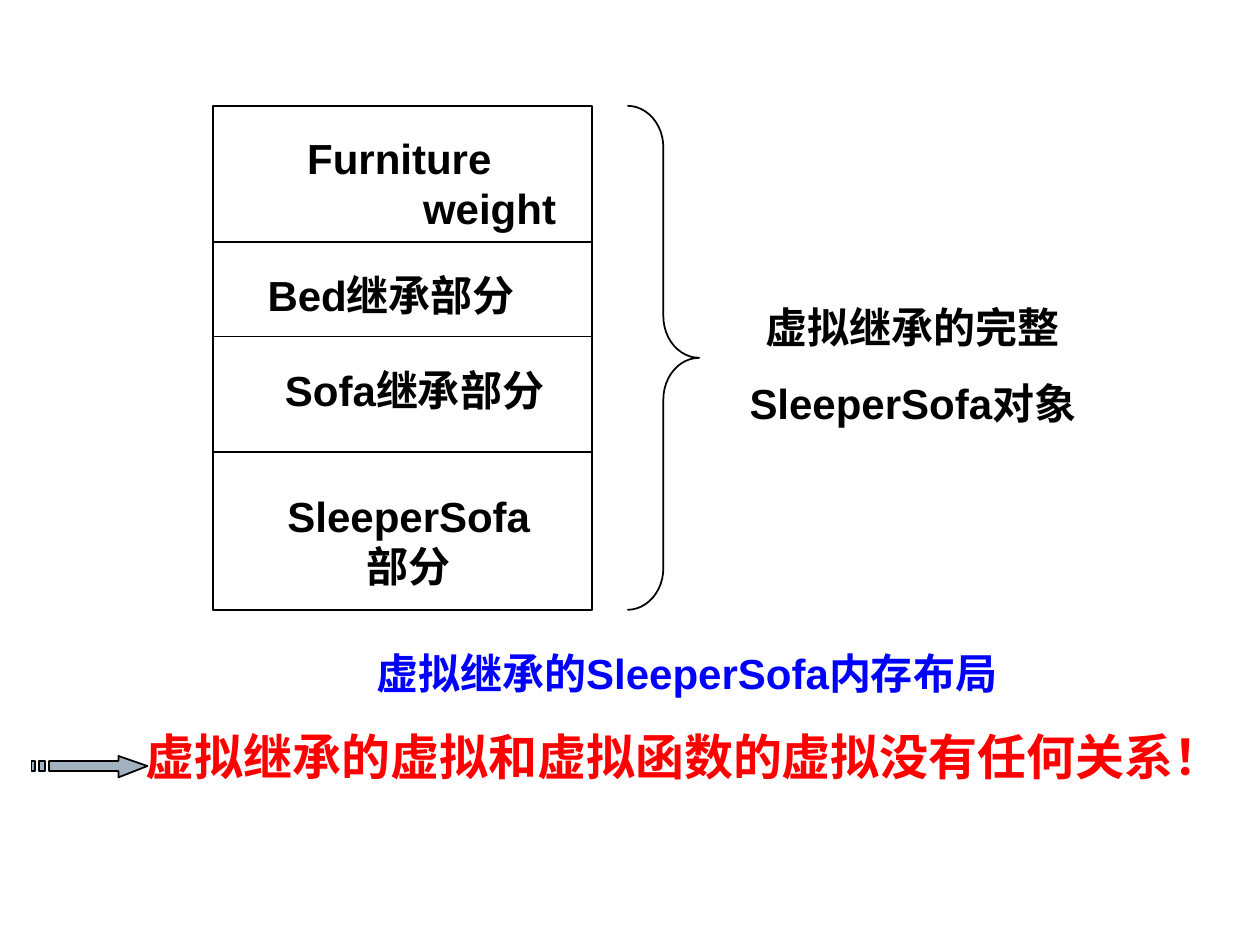
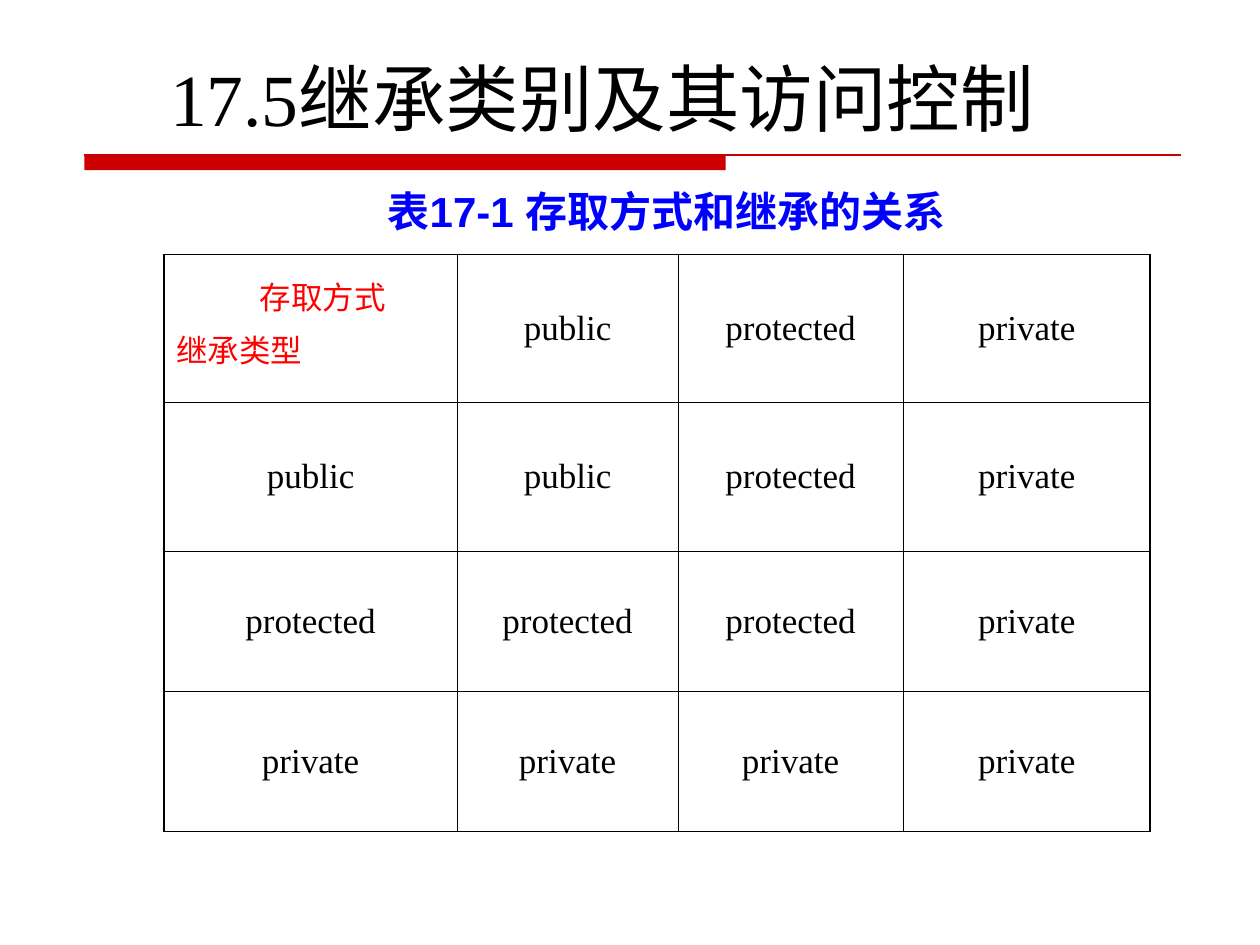
from lxml.etree import SubElement
from pptx import Presentation
from pptx.dml.color import RGBColor
from pptx.enum.shapes import MSO_CONNECTOR, MSO_SHAPE
from pptx.enum.text import MSO_ANCHOR, MSO_AUTO_SIZE, PP_ALIGN
from pptx.oxml.ns import qn
from pptx.util import Inches, Pt

BLACK, BLUE, RED = "000000", "0000FF", "FF0000"
RULE_RED, ARROW_GREY = "CC0000", "A3B2C1"
SANS, SERIF = "Arial", "Times New Roman"
THIN_BORDER, OUTER_BORDER = 0.45, 1.08

BLOCK_LEFT, BLOCK_RIGHT = 1.69, 4.7
BLOCK_TOP, BLOCK_HEIGHT = 0.84, 4
DIVIDERS = [1.92, 2.67, 3.59]

ACCESS_ROWS = [
    ["", "public", "protected", "private"],
    ["public", "public", "protected", "private"],
    ["protected", "protected", "protected", "private"],
    ["private", "private", "private", "private"],
]
COLUMN_WIDTHS = [2.33, 1.75, 1.79, 1.96]
ROW_HEIGHTS = [1.17, 1.19, 1.11, 1.11]


def color(hex_string):
    return RGBColor.from_string(hex_string)


def style_paragraph(paragraph, size, hex_color=BLACK, font=SERIF, bold=False,
                    align=PP_ALIGN.LEFT, before=0, indent=0):
    paragraph.font.size = Pt(size)
    paragraph.font.name = font
    paragraph.font.bold = bold
    paragraph.font.color.rgb = color(hex_color)
    paragraph.alignment = align
    paragraph.space_before = Pt(before)
    if indent:
        properties = paragraph._p.get_or_add_pPr()
        properties.set("marL", str(Inches(indent)))
        properties.set("indent", "0")


def add_label(shapes, box, lines, size=24, hex_color=BLACK, font=SANS,
              align=PP_ALIGN.CENTER, before=15, indents=None):
    """Add bold text, one paragraph per line, each with its own indent if given."""
    frame = shapes.add_textbox(*map(Inches, box)).text_frame
    frame.word_wrap = True
    frame.auto_size = MSO_AUTO_SIZE.SHAPE_TO_FIT_TEXT
    frame.text = "\n".join(lines)
    for paragraph, indent in zip(frame.paragraphs, indents or [0] * len(lines)):
        style_paragraph(paragraph, size, hex_color, font, True, align, before, indent)


def style_shape(shape, fill=None, line=None, width=1):
    shape.shadow.inherit = False
    if fill:
        shape.fill.solid()
        shape.fill.fore_color.rgb = color(fill)
    else:
        shape.fill.background()
    if line:
        shape.line.color.rgb = color(line)
        shape.line.width = Pt(width)
    else:
        shape.line.fill.background()


def add_preset(shapes, preset, box, **style):
    shape = shapes.add_shape(preset, *map(Inches, box))
    style_shape(shape, **style)
    return shape


def add_horizontal_line(shapes, left, right, y, hex_color=BLACK, width=1):
    connector = shapes.add_connector(
        MSO_CONNECTOR.STRAIGHT, Inches(left), Inches(y), Inches(right), Inches(y))
    connector.line.color.rgb = color(hex_color)
    connector.line.width = Pt(width)
    SubElement(connector._element.spPr, qn("a:effectLst"))


def add_striped_arrow(shapes):
    """Draw the arrow and its two stripes as one outline, in hundredths of an inch."""
    top, bottom = 604, 612
    arrow = [(39, top), (94, top), (94, 600), (117, 608),
             (94, 617), (94, bottom), (39, bottom)]
    stripes = [[(left, top), (right, top), (right, bottom), (left, bottom)]
               for left, right in [(25, 28), (31, 36)]]
    builder = shapes.build_freeform(*arrow[0], scale=Inches(0.01))
    builder.add_line_segments(arrow[1:], close=True)
    for stripe in stripes:
        builder.move_to(*stripe[0])
        builder.add_line_segments(stripe[1:], close=True)
    style_shape(builder.convert_to_shape(), ARROW_GREY, BLACK)


def add_title(slide, text):
    title = slide.shapes.title
    title.left, title.top, title.width, title.height = map(
        Inches, (1.25, 0.25, 8.42, 0.92))
    frame = title.text_frame
    frame.text = text
    frame.auto_size = MSO_AUTO_SIZE.NONE
    frame.vertical_anchor = MSO_ANCHOR.BOTTOM
    style_paragraph(frame.paragraphs[0], 42)


def add_title_rule(shapes):
    add_preset(shapes, MSO_SHAPE.RECTANGLE, (0.67, 1.23, 5.09, 0.12), fill=RULE_RED)
    add_horizontal_line(shapes, 0.67, 9.37, 1.23, RULE_RED, 0.75)


def set_borders(cell, widths):
    """Draw black borders; widths in points for left, right, top, bottom."""
    properties = cell._tc.get_or_add_tcPr()
    for side, width in zip("LRTB", widths):
        line = SubElement(properties, qn(f"a:ln{side}"), w=str(Pt(width)))
        fill = SubElement(line, qn("a:solidFill"))
        SubElement(fill, qn("a:srgbClr"), val=BLACK)


def add_access_table(shapes):
    last_row, last_column = len(ROW_HEIGHTS) - 1, len(COLUMN_WIDTHS) - 1
    table = shapes.add_table(
        len(ROW_HEIGHTS), len(COLUMN_WIDTHS), Inches(1.3), Inches(2.02),
        Inches(sum(COLUMN_WIDTHS)), Inches(sum(ROW_HEIGHTS))).table
    table.first_row = table.horz_banding = False
    for column, width in zip(table.columns, COLUMN_WIDTHS):
        column.width = Inches(width)
    for row, height in zip(table.rows, ROW_HEIGHTS):
        row.height = Inches(height)

    for row_index, words in enumerate(ACCESS_ROWS):
        for column_index, word in enumerate(words):
            cell = table.cell(row_index, column_index)
            on_edge = (column_index == 0, column_index == last_column,
                       row_index == 0, row_index == last_row)
            set_borders(cell, [OUTER_BORDER if edge else THIN_BORDER for edge in on_edge])
            cell.fill.background()
            if word:
                cell.text = word
                cell.vertical_anchor = MSO_ANCHOR.MIDDLE
                style_paragraph(cell.text_frame.paragraphs[0], 20,
                                align=PP_ALIGN.CENTER, before=2.5)

    corner = table.cell(0, 0)
    corner.margin_top = Inches(0.15)
    corner.text = "存取方式\n继承类型"
    access_mode, inheritance_type = corner.text_frame.paragraphs
    style_paragraph(access_mode, 18, RED, before=2.2, indent=0.66)
    style_paragraph(inheritance_type, 18, RED, before=4)


def build_memory_layout(slide):
    shapes = slide.shapes.add_group_shape().shapes
    add_preset(shapes, MSO_SHAPE.RECTANGLE,
               (BLOCK_LEFT, BLOCK_TOP, BLOCK_RIGHT - BLOCK_LEFT, BLOCK_HEIGHT), line=BLACK)
    for y in DIVIDERS:
        add_horizontal_line(shapes, BLOCK_LEFT, BLOCK_RIGHT, y)
    add_label(shapes, (1.88, 1, 2.73, 0.9), ["Furniture", "weight"],
              align=PP_ALIGN.LEFT, before=0, indents=[0.46, 1.38])
    add_label(shapes, (1.79, 2.09, 2.63, 0.5), ["Bed继承部分"])
    add_label(shapes, (2.07, 2.84, 2.44, 0.5), ["Sofa继承部分"])
    add_label(shapes, (1.88, 3.84, 2.73, 0.9), ["SleeperSofa", "部分"], before=0)
    brace = add_preset(shapes, MSO_SHAPE.RIGHT_BRACE,
                       (4.98, BLOCK_TOP, 0.57, BLOCK_HEIGHT), line=BLACK)
    brace.adjustments[0] = 0.58
    add_label(shapes, (5.74, 2.34, 3.01, 1.11), ["虚拟继承的完整", "SleeperSofa对象"])
    add_label(shapes, (1.88, 5.09, 7.14, 0.5), ["虚拟继承的SleeperSofa内存布局"],
              hex_color=BLUE)

    add_label(slide.shapes, (1.06, 5.72, 8.83, 0.57),
              ["虚拟继承的虚拟和虚拟函数的虚拟没有任何关系！"], size=28,
              hex_color=RED, font=SERIF, align=PP_ALIGN.LEFT, before=17.5)
    add_striped_arrow(slide.shapes)


def build_access_control(slide):
    add_title_rule(slide.shapes)
    add_title(slide, "17.5继承类别及其访问控制")
    add_access_table(slide.shapes)
    add_label(slide.shapes, (2.08, 1.42, 6.42, 0.5), ["表17-1 存取方式和继承的关系"],
              hex_color=BLUE)


def main():
    presentation = Presentation()
    presentation.slide_width, presentation.slide_height = Inches(10), Inches(7.5)
    title_only, blank = presentation.slide_layouts[5], presentation.slide_layouts[6]
    build_memory_layout(presentation.slides.add_slide(blank))
    build_access_control(presentation.slides.add_slide(title_only))
    presentation.save("out.pptx")


if __name__ == "__main__":
    main()
